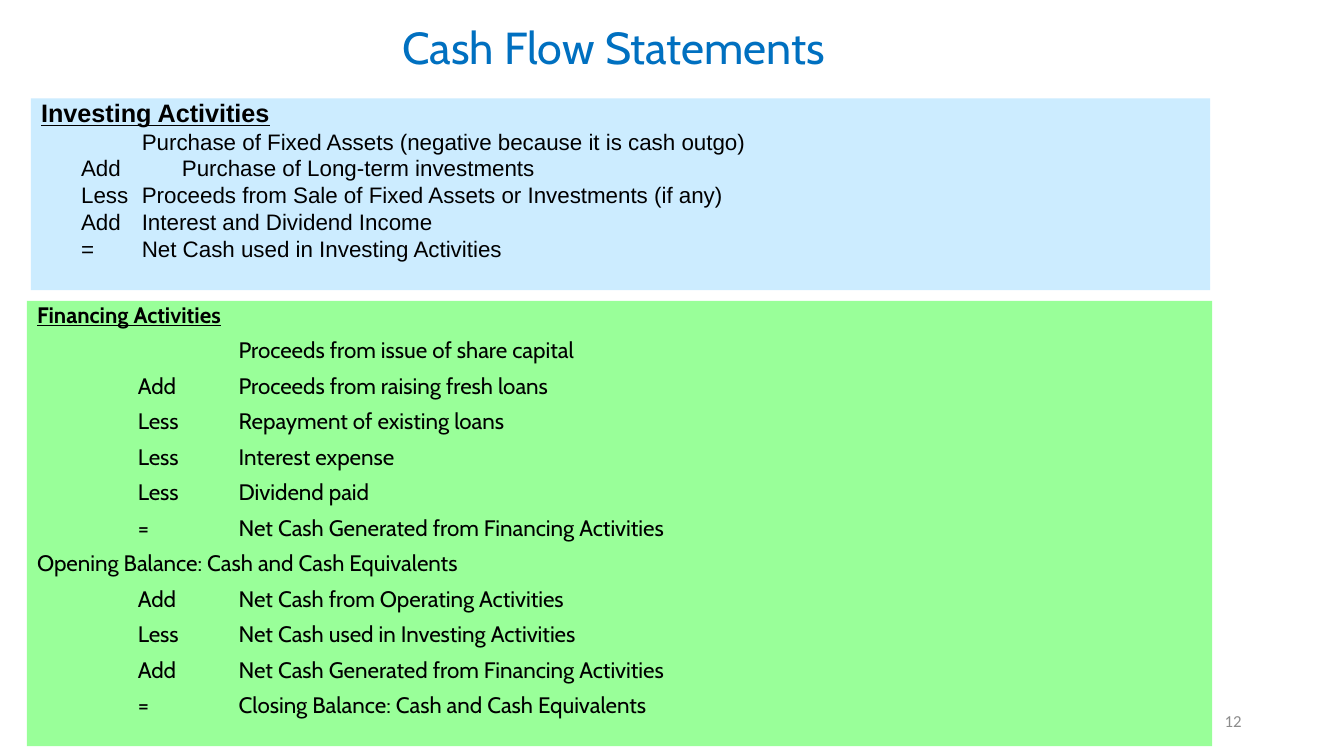
import dataclasses

import lxml.etree
import pptx
import pptx.dml.color
import pptx.enum.text
import pptx.oxml.ns
import pptx.util

Cm = pptx.util.Cm
Pt = pptx.util.Pt
ALIGN = pptx.enum.text.PP_ALIGN
ANCHOR = pptx.enum.text.MSO_ANCHOR

COLOURS = {
    "title": "0070C0",
    "text": "000000",
    "number": "8C8C8C",
    "investing": "CCECFF",
    "financing": "99FF99",
}


@dataclasses.dataclass
class Line:
    text: str
    margin: float = 0
    indent: float = 0
    spacing: float = 1.0
    size: float = 16
    heading: bool = False


@dataclasses.dataclass
class Panel:
    box: tuple[float, float, float, float]
    fill: str
    font: str
    space_before: float
    lines: list[Line]


STEP = 1.01  # indent of the Add / Less column, in cm
TAB = 2.54  # distance between tab stops, in cm

INVESTING = Panel((0.78, 2.48, 29.72, 4.83), "investing", "Arial", 0, [
    Line("Investing Activities", spacing=0.8, size=18, heading=True),
    Line("\tPurchase of Fixed Assets (negative because it is cash outgo)"),
    Line("Add \tPurchase of Long-term investments", margin=STEP),
    Line("Less\tProceeds from Sale of Fixed Assets or Investments (if any)", indent=STEP),
    Line("Add\tInterest and Dividend Income", indent=STEP),
    Line("=\tNet Cash used in Investing Activities", indent=STEP),
])

FINANCING = Panel((0.68, 7.58, 29.87, 11.22), "financing", "Cabin", 10, [
    Line("Financing Activities", spacing=0.8, heading=True),
    *(Line(text, spacing=0.8) for text in (
        "\t\tProceeds from issue of share capital",
        "\tAdd\tProceeds from raising fresh loans",
        "\tLess \tRepayment of existing loans",
        "\tLess\tInterest expense",
        "\tLess\tDividend paid",
        "\t=\tNet Cash Generated from Financing Activities",
        "Opening Balance: Cash and Cash Equivalents",
        "\tAdd\tNet Cash from Operating Activities",
        "\tLess\tNet Cash used in Investing Activities",
        "\tAdd\tNet Cash Generated from Financing Activities",
        "\t=\tClosing Balance: Cash and Cash Equivalents",
    )),
])


def apply_format(target, values: dict) -> None:
    for attribute, value in values.items():
        setattr(target, attribute, value)


def rgb(name: str) -> pptx.dml.color.RGBColor:
    return pptx.dml.color.RGBColor.from_string(COLOURS[name])


def place(shape, box: tuple[float, float, float, float], anchor) -> None:
    """Move the shape to a box in cm and fix how its text sits in it."""
    apply_format(shape, dict(zip(("left", "top", "width", "height"), map(Cm, box))))
    apply_format(shape.text_frame, {
        "word_wrap": True,
        "auto_size": pptx.enum.text.MSO_AUTO_SIZE.NONE,
        "vertical_anchor": anchor,
    })


def write(paragraph, text: str, colour: str, font: dict, layout: dict) -> None:
    run = paragraph.add_run()
    run.text = text
    apply_format(run.font, font)
    run.font.color.rgb = rgb(colour)
    apply_format(paragraph, layout)


def fill_panel(placeholder, panel: Panel) -> None:
    place(placeholder, panel.box, ANCHOR.TOP)
    placeholder.fill.solid()
    placeholder.fill.fore_color.rgb = rgb(panel.fill)
    frame = placeholder.text_frame
    for index, line in enumerate(panel.lines):
        paragraph = frame.add_paragraph() if index else frame.paragraphs[0]
        write(
            paragraph, line.text, "text",
            {"name": panel.font, "size": Pt(line.size),
             "bold": line.heading, "underline": line.heading},
            {"alignment": ALIGN.LEFT, "line_spacing": line.spacing,
             "space_before": Pt(panel.space_before), "space_after": Pt(0)},
        )
        properties = paragraph._p.get_or_add_pPr()
        lengths = {"marL": line.margin, "indent": line.indent, "defTabSz": TAB}
        for attribute, length in lengths.items():
            properties.set(attribute, str(Cm(length)))
        lxml.etree.SubElement(properties, pptx.oxml.ns.qn("a:buNone"))


def main() -> None:
    deck = pptx.Presentation()
    apply_format(deck, {"slide_width": Cm(33.87), "slide_height": Cm(19.05)})
    two_content = deck.slide_layouts[3]
    slide = deck.slides.add_slide(two_content)

    heading = slide.shapes.title
    place(heading, (6.81, 0.46, 17.32, 1.6), ANCHOR.MIDDLE)
    write(heading.text_frame.paragraphs[0], "Cash Flow Statements", "title",
          {"name": "Cabin", "size": Pt(32)},
          {"alignment": ALIGN.CENTER, "line_spacing": 0.9})

    fill_panel(slide.placeholders[1], FINANCING)
    fill_panel(slide.placeholders[2], INVESTING)

    page_number = slide.shapes.add_textbox(0, 0, 0, 0)
    place(page_number, (23.92, 17.65, 7.62, 1.02), ANCHOR.MIDDLE)
    write(page_number.text_frame.paragraphs[0], "12", "number",
          {"name": "Calibri", "size": Pt(12)}, {"alignment": ALIGN.RIGHT})

    deck.save("out.pptx")


if __name__ == "__main__":
    main()
